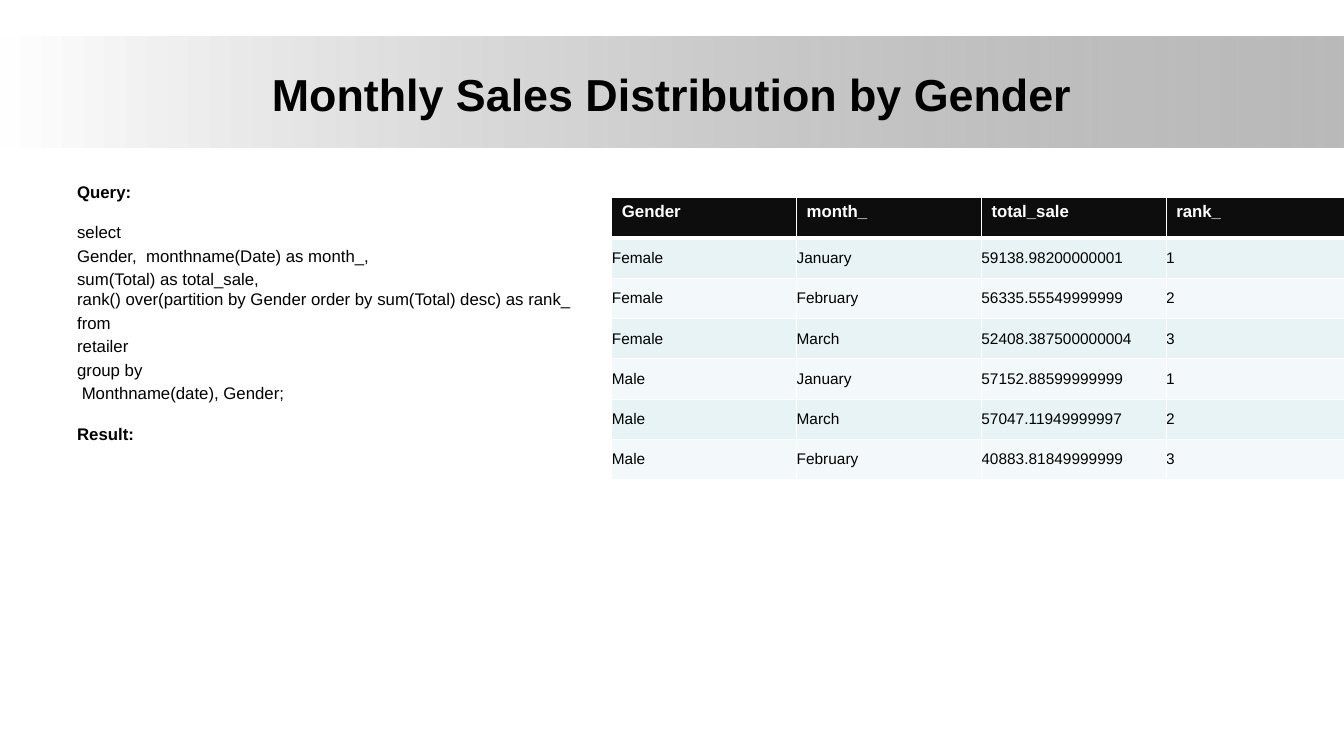
from lxml.etree import SubElement
from pptx import Presentation
from pptx.dml.color import RGBColor
from pptx.enum.shapes import MSO_SHAPE as Shape
from pptx.enum.text import MSO_ANCHOR as Anchor, PP_ALIGN as Align
from pptx.oxml.ns import qn
from pptx.util import Inches, Pt

BLACK = RGBColor(0x00, 0x00, 0x00)
WHITE = RGBColor(0xFF, 0xFF, 0xFF)
GRAY = RGBColor(0x80, 0x80, 0x80)
HEADER = RGBColor(0x0D, 0x0D, 0x0D)
STRIPES = (RGBColor(0xF3, 0xF9, 0xFA), RGBColor(0xE7, 0xF3, 0xF4))

LINE_GAP, SECTION_GAP = 2.4, 14.5
QUERY = [
    ("Query:", True, 0),
    ("select", False, SECTION_GAP),
    ("Gender,  monthname(Date) as month_,", False, LINE_GAP),
    ("sum(Total) as total_sale,\v"
     "rank() over(partition by Gender order by sum(Total) desc) as rank_", False, LINE_GAP),
    ("from", False, LINE_GAP),
    ("retailer", False, LINE_GAP),
    ("group by", False, LINE_GAP),
    (" Monthname(date), Gender;", False, LINE_GAP),
    ("Result:", True, SECTION_GAP),
]

SALES = [
    ("Gender", "month_", "total_sale", "rank_"),
    ("Female", "January", "59138.98200000001", "1"),
    ("Female", "February", "56335.55549999999", "2"),
    ("Female", "March", "52408.387500000004", "3"),
    ("Male", "January", "57152.88599999999", "1"),
    ("Male", "March", "57047.11949999997", "2"),
    ("Male", "February", "40883.81849999999", "3"),
]


class SlideBuilder:
    """Draws styled elements on one slide, measured on an 80 by 45 grid."""

    font = "Arial"
    columns, rows = 80, 45

    def __init__(self, deck):
        self.column = deck.slide_width / self.columns
        self.row = deck.slide_height / self.rows
        self.slide = deck.slides.add_slide(deck.slide_layouts[6])

    def place(self, left, top, width, height):
        return (round(left * self.column), round(top * self.row),
                round(width * self.column), round(height * self.row))

    def style(self, para, size, color=BLACK, bold=False):
        for span in para.runs:
            span.font.name = self.font
            span.font.size = Pt(size)
            span.font.bold = bold
            span.font.color.rgb = color

    def gradient_band(self, area, start, end, end_opacity):
        band = self.slide.shapes.add_shape(Shape.RECTANGLE, *self.place(*area))
        band.shadow.inherit = False
        band.line.fill.background()
        band.fill.gradient()
        band.fill.gradient_angle = 0
        for stop, color in zip(band.fill.gradient_stops, (start, end)):
            stop.color.rgb = color
        end_color = band.element.xpath(".//a:gs//a:srgbClr")[-1]
        SubElement(end_color, qn("a:alpha"), val=str(end_opacity * 1000))

    def text(self, area, lines, size, align=Align.LEFT, anchor=Anchor.TOP):
        frame = self.slide.shapes.add_textbox(*self.place(*area)).text_frame
        frame.word_wrap = True
        frame.vertical_anchor = anchor
        for index, (line, bold, gap) in enumerate(lines):
            para = frame.add_paragraph() if index else frame.paragraphs[0]
            para.text = line
            para.alignment = align
            para.space_before = Pt(gap)
            self.style(para, size, bold=bold)

    def border(self, cell, side, width):
        properties = cell._tc.get_or_add_tcPr()
        line = SubElement(properties, qn(f"a:ln{side}"), w=str(Pt(width)))
        fill = SubElement(line, qn("a:solidFill"))
        SubElement(fill, qn("a:srgbClr"), val=str(WHITE))

    def cell(self, cell, value, row):
        is_header = row == 0
        cell.text = value
        for side in "LRTB":
            under_header = (row, side) in ((0, "B"), (1, "T"))
            self.border(cell, side, 3 if under_header else 1)
        cell.fill.solid()
        cell.fill.fore_color.rgb = HEADER if is_header else STRIPES[row % 2]
        if not is_header:
            cell.vertical_anchor = Anchor.MIDDLE
            cell.margin_left = cell.margin_right = 0
            cell.margin_top = cell.margin_bottom = 0
        self.style(cell.text_frame.paragraphs[0], 12 if is_header else 11,
                   WHITE if is_header else BLACK, is_header)

    def table(self, left, top, cell_width, cell_height, records):
        count, fields = len(records), len(records[0])
        area = self.place(left, top, cell_width * fields, cell_height * count)
        table = self.slide.shapes.add_table(count, fields, *area).table
        for row, record in enumerate(records):
            for column, value in enumerate(record):
                self.cell(table.cell(row, column), value, row)


def main():
    deck = Presentation()
    deck.slide_width, deck.slide_height = Inches(13.33), Inches(7.5)
    page = SlideBuilder(deck)
    page.gradient_band((0, 2.16, 80, 6.6), WHITE, GRAY, 54)
    page.text((4, 1.8, 72, 7.5), [("Monthly Sales Distribution by Gender", True, 0)],
              32, Align.CENTER, Anchor.MIDDLE)
    page.text((4, 10.5, 35.34, 29.7), QUERY, 12)
    page.table(36.42, 11.76, 11, 2.4, SALES)
    deck.save("out.pptx")


if __name__ == "__main__":
    main()
